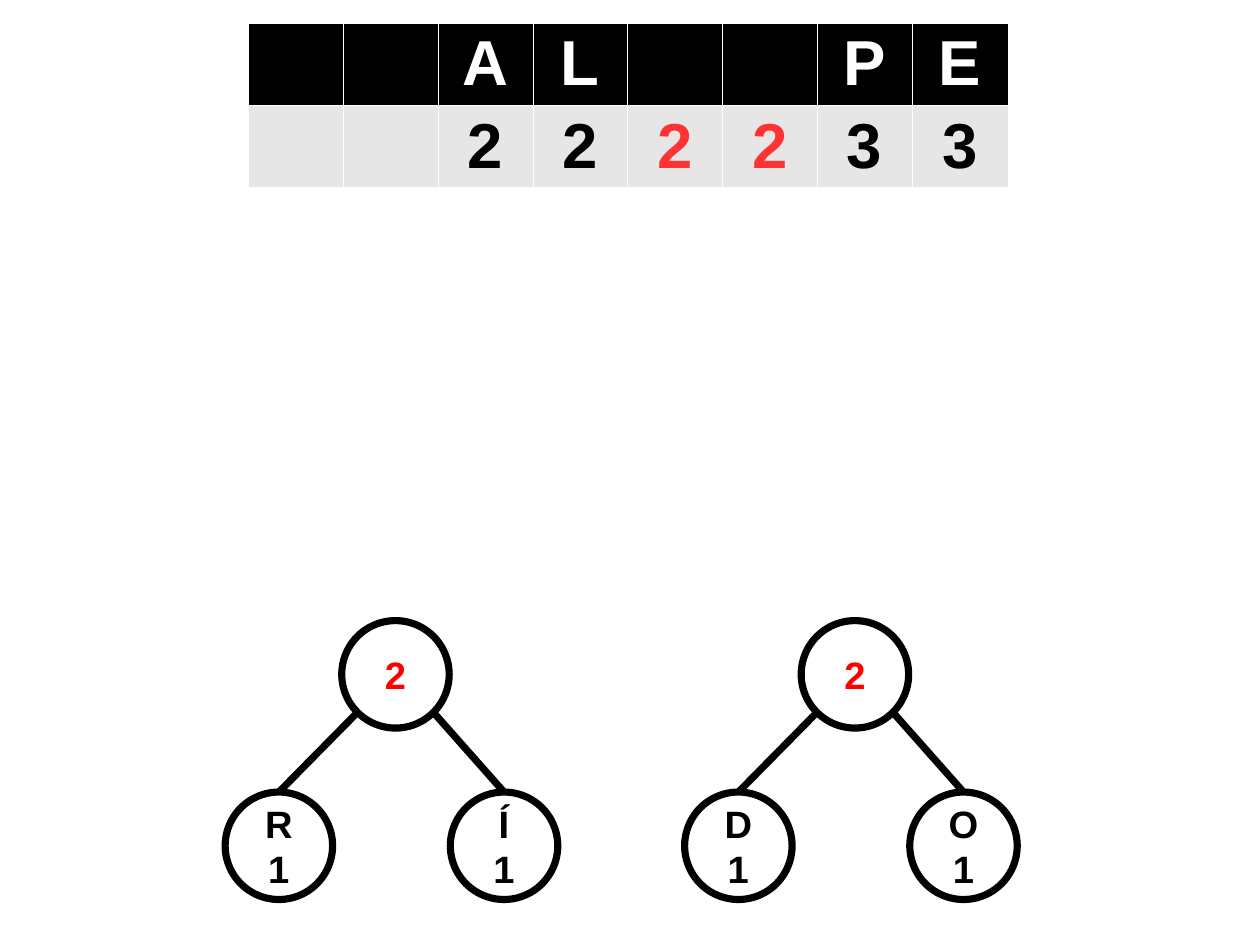
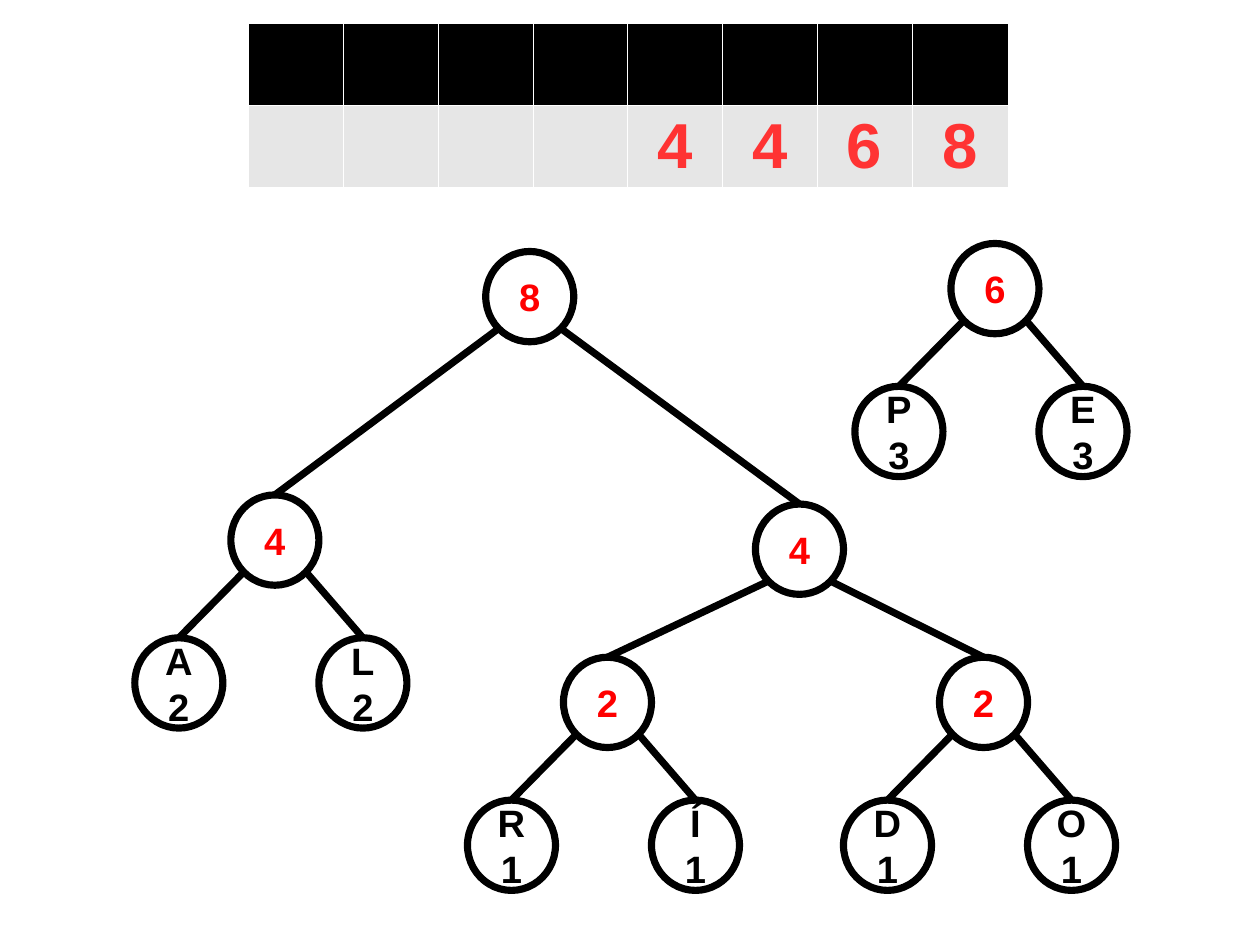
from dataclasses import dataclass
from math import sqrt

from lxml.etree import SubElement
from pptx import Presentation
from pptx.dml.color import RGBColor
from pptx.enum.shapes import MSO_CONNECTOR, MSO_SHAPE
from pptx.enum.text import MSO_ANCHOR, PP_ALIGN
from pptx.oxml import parse_xml
from pptx.oxml.ns import nsdecls, qn
from pptx.util import Inches, Pt


@dataclass(frozen=True)
class Theme:
    font: str = "Arial"
    black: str = "000000"
    white: str = "FFFFFF"
    gray: str = "E6E6E6"
    red: str = "FF0000"
    coral: str = "FF3333"
    cell: float = 40
    node: float = 24
    line: float = 4.5
    edge: float = 0.06


THEME = Theme()
PAGE = (28 / 2.54, 21 / 2.54)
TABLE = (2.17, 0.2, 6.65, 1.45)
CELL = (0.83, 0.72)

SLIDES = [
    {
        "heads": ["", "", "A", "L", "", "", "P", "E"],
        "counts": ["", "", "2", "2", "2", "2", "3", "3"],
        "sums": {4, 5},
        "size": (0.94, 0.94),
        "steps": [(-1.02, 1.5), (0.95, 1.5)],
        "trees": [
            ("2", 2.99, 5.43, ["R1", "Í1"]),
            ("2", 7.01, 5.43, ["D1", "O1"]),
        ],
    },
    {
        "heads": [""] * 8,
        "counts": ["", "", "", "", "4", "4", "6", "8"],
        "sums": {4, 5, 6, 7},
        "size": (0.77, 0.79),
        "steps": [(-0.84, 1.25), (0.77, 1.25)],
        "trees": [
            ("8", 4.25, 2.2, [
                ("4", 2.02, 4.33, ["A2", "L2"]),
                ("4", 6.61, 4.41, [
                    ("2", 4.93, 5.75, ["R1", "Í1"]),
                    ("2", 8.22, 5.75, ["D1", "O1"]),
                ]),
            ]),
            ("6", 8.32, 2.13, ["P3", "E3"]),
        ],
    },
]


def color(code):
    return RGBColor.from_string(code)


def write(frame, lines, *, size, ink):
    for i, line in enumerate(lines):
        para = frame.paragraphs[0] if i == 0 else frame.add_paragraph()
        para.alignment = PP_ALIGN.CENTER
        run = para.add_run()
        run.text = line
        run.font.name = THEME.font
        run.font.size = Pt(size)
        run.font.bold = True
        run.font.color.rgb = color(ink)


def border(cell):
    props = cell._tc.get_or_add_tcPr()
    for i, side in enumerate(("lnL", "lnR", "lnT", "lnB")):
        props.insert(i, parse_xml(
            f'<a:{side} {nsdecls("a")} w="{int(Pt(THEME.edge))}"><a:solidFill>'
            f'<a:srgbClr val="{THEME.white}"/></a:solidFill></a:{side}>'))


def add_counts(slide, data):
    rows = [data["heads"], data["counts"]]
    width = len(data["heads"])
    grid = slide.shapes.add_table(
        len(rows), width, *map(Inches, TABLE)).table
    grid.first_row = grid.horz_banding = False
    for col in grid.columns:
        col.width = Inches(CELL[0])
    grid.columns[width - 1].width = Inches(TABLE[2] - CELL[0] * (width - 1))
    for row in grid.rows:
        row.height = Inches(CELL[1])
    for r, row in enumerate(rows):
        for c, text in enumerate(row):
            cell = grid.cell(r, c)
            cell.fill.solid()
            cell.fill.fore_color.rgb = color((THEME.black, THEME.gray)[r])
            border(cell)
            if text:
                ink = THEME.coral if c in data["sums"] else THEME.black
                write(cell.text_frame, [text], size=THEME.cell,
                      ink=ink if r else THEME.white)


def add_node(slide, lines, x, y, size, ink):
    node = slide.shapes.add_shape(
        MSO_SHAPE.OVAL, *map(Inches, (x, y, *size)))
    node.shadow.inherit = False
    node.fill.solid()
    node.fill.fore_color.rgb = color(THEME.white)
    node.line.color.rgb = color(THEME.black)
    node.line.width = Pt(THEME.line)
    frame = node.text_frame
    frame.word_wrap = False
    frame.vertical_anchor = MSO_ANCHOR.MIDDLE
    frame.margin_left = frame.margin_right = Inches(0.13)
    frame.margin_top = frame.margin_bottom = Inches(0.08)
    write(frame, lines, size=THEME.node, ink=ink)
    return node


def add_branch(slide, node, child, side):
    x = node.left + node.width / 2 * (1 + side / sqrt(2))
    y = node.top + node.height / 2 * (1 + 1 / sqrt(2))
    line = slide.shapes.add_connector(
        MSO_CONNECTOR.STRAIGHT, int(x), int(y),
        child.left + child.width // 2, child.top)
    line.end_connect(child, 0)
    line.line.color.rgb = color(THEME.black)
    line.line.width = Pt(THEME.line)
    SubElement(line._element.spPr, qn("a:effectLst"))


def add_tree(slide, tree, data):
    total, x, y, kids = tree
    size = data["size"]
    nodes = []
    for kid, (dx, dy) in zip(kids, data["steps"]):
        if isinstance(kid, str):
            nodes.append(add_node(
                slide, list(kid), x + dx, y + dy, size, THEME.black))
        else:
            nodes.append(add_tree(slide, kid, data))
    root = add_node(slide, [total], x, y, size, THEME.red)
    for node, side in zip(nodes, (-1, 1)):
        add_branch(slide, root, node, side)
    return root


def main():
    deck = Presentation()
    deck.slide_width, deck.slide_height = map(Inches, PAGE)
    for data in SLIDES:
        slide = deck.slides.add_slide(deck.slide_layouts[6])
        add_counts(slide, data)
        for tree in data["trees"]:
            add_tree(slide, tree, data)
    deck.save("out.pptx")


if __name__ == "__main__":
    main()
